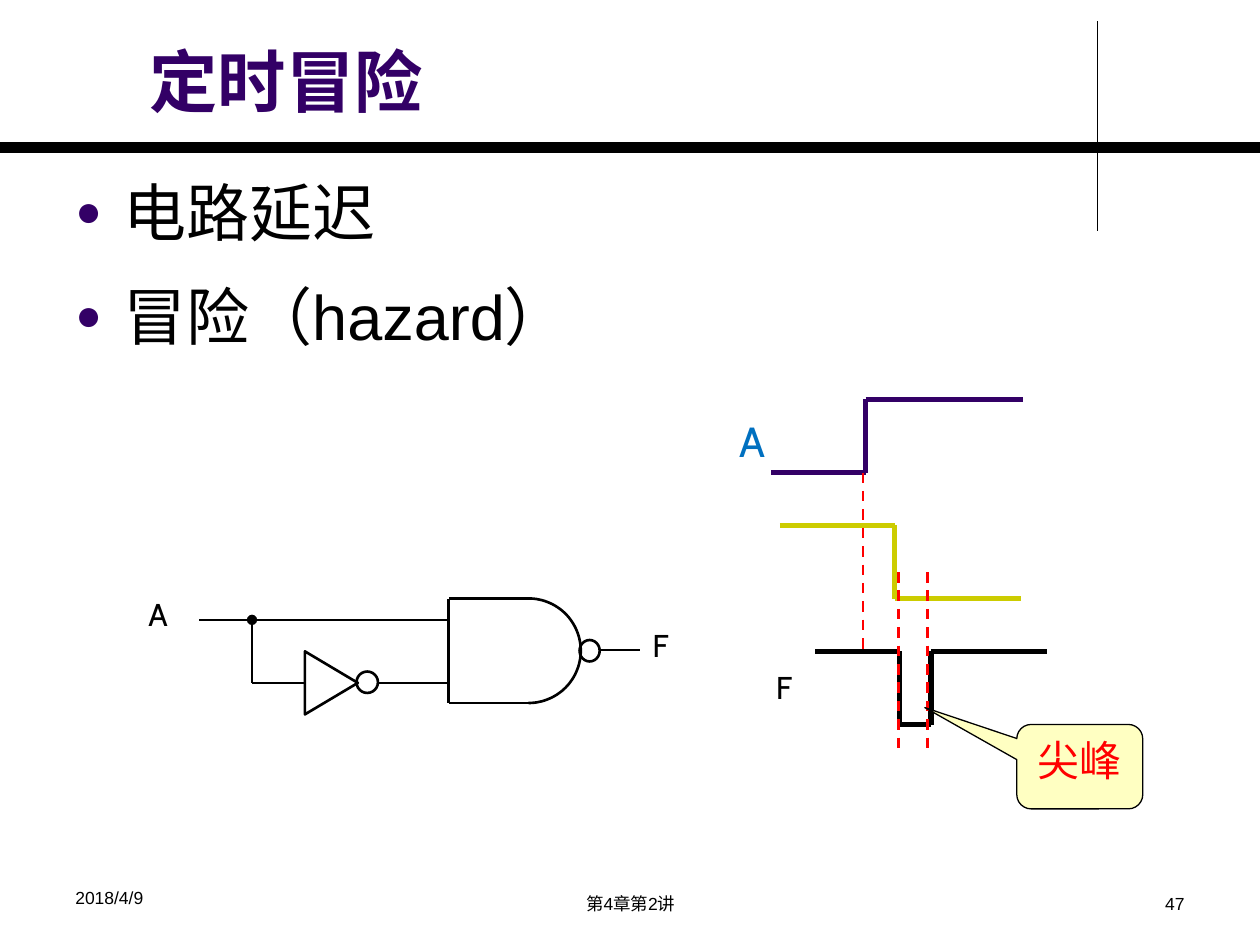
import math

import pptx
import pptx.dml.color
import pptx.enum.dml
import pptx.enum.shapes
import pptx.enum.text
import pptx.oxml
import pptx.oxml.ns
import pptx.util

Inches = pptx.util.Inches
Pt = pptx.util.Pt
RGBColor = pptx.dml.color.RGBColor
Shape = pptx.enum.shapes.MSO_SHAPE
Align = pptx.enum.text.PP_ALIGN
Anchor = pptx.enum.text.MSO_ANCHOR

BLACK = RGBColor(0x00, 0x00, 0x00)
PURPLE = RGBColor(0x33, 0x00, 0x66)
OLIVE = RGBColor(0xCC, 0xCC, 0x00)
BLUE = RGBColor(0x00, 0x70, 0xC0)
RED = RGBColor(0xFF, 0x00, 0x00)
CREAM = RGBColor(0xFF, 0xFF, 0xC2)


def add_xml(parent, tag, **attrs):
    """Append an empty drawing element and return it."""
    node = pptx.oxml.parse_xml(f"<a:{tag} {pptx.oxml.ns.nsdecls('a')}/>")
    for key, value in attrs.items():
        node.set(key, value)
    parent.append(node)
    return node


def set_font(para, size, color, name="Arial", bold=False):
    """Set the font of a whole paragraph."""
    font = para.font
    font.size, font.name, font.bold = Pt(size), name, bold
    font.color.rgb = color


def add_text(slide, box, text, size, color, name="Arial", align=Align.LEFT,
             bold=False, wrap=True, anchor=Anchor.TOP):
    """Place one line of text in a box."""
    frame = slide.shapes.add_textbox(*map(Inches, box)).text_frame
    frame.word_wrap = wrap
    frame.vertical_anchor = anchor
    para = frame.paragraphs[0]
    para.text, para.alignment = text, align
    set_font(para, size, color, name, bold)


def add_trace(slide, box, points, color=BLACK, width=1.5, dash=False, dot=False):
    """Join points, given relative to the box, with straight lines."""
    left, top = box[:2]
    for (x1, y1), (x2, y2) in zip(points, points[1:]):
        line = slide.shapes.add_connector(
            pptx.enum.shapes.MSO_CONNECTOR.STRAIGHT, Inches(left + x1),
            Inches(top + y1), Inches(left + x2), Inches(top + y2))
        line.line.color.rgb = color
        line.line.width = Pt(width)
        if dash:
            line.line.dash_style = pptx.enum.dml.MSO_LINE.DASH
        if dot:
            add_xml(line.line._get_or_add_ln(), "tailEnd", type="oval")
        add_xml(line._element.spPr, "effectLst")


def style_outline(shape, width=1.5):
    """Give a shape a plain black outline without fill or shadow."""
    shape.shadow.inherit = False
    shape.fill.background()
    shape.line.color.rgb = BLACK
    shape.line.width = Pt(width)


def add_head(slide, box):
    """Draw the title with its crossing rules."""
    left, top, width, height = box
    add_trace(slide, box, [(8.71, 0.17), (8.71, 1.83)], width=0.75)
    add_trace(slide, box, [(0, 1.17), (width, 1.17)], width=6)
    add_text(slide, (left + 1.09, top + 0.2, 7.55, height - 0.36), "定时冒险",
             39, PURPLE, bold=True, anchor=Anchor.BOTTOM)


def add_body(slide, box, items):
    """Write the bulleted points."""
    frame = slide.shapes.add_textbox(*map(Inches, box)).text_frame
    frame.word_wrap = True
    for index, text in enumerate(items):
        para = frame.add_paragraph() if index else frame.paragraphs[0]
        para.text = text
        if index:
            para.space_before = Pt(7.2)
            para.line_spacing = 1.2
        props = para._p.get_or_add_pPr()
        props.set("marL", str(Inches(0.38)))
        props.set("indent", str(Inches(-0.38)))
        add_xml(add_xml(props, "buClr"), "srgbClr", val=str(PURPLE))
        add_xml(props, "buSzPct", val="70000")
        add_xml(props, "buFont", typeface="Arial")
        add_xml(props, "buChar", char="●")
        set_font(para, 36, BLACK)


def add_wave(slide, box, steps, color, label="", size=18, ink=BLACK):
    """Draw a signal with its name at the left."""
    left, top = box
    if label:
        add_text(slide, (left, top + 0.08, 0.4, 0.5), label, size, ink,
                 "Cabin", wrap=False)
    add_trace(slide, box, steps, color, 3)


def add_gate(slide, box):
    """Draw the rounded gate front as an arc of the box's height."""
    left, top, width, height = box
    radius = height / 2
    arc = [(Inches(left + width - radius + radius * math.cos(angle)),
            Inches(top + radius + radius * math.sin(angle)))
           for angle in (math.radians(deg) for deg in range(-90, 91, 3))]
    build = slide.shapes.build_freeform(*arc[0])
    build.add_line_segments(arc[1:], close=False)
    style_outline(build.convert_to_shape())
    flat = width - radius
    add_trace(slide, box, [(flat, 0), (0, 0), (0, height), (flat, height)])


def add_circuit(slide, box):
    """Draw the inverter feeding a gate, with its input and output."""
    left, top = box
    for x, y, text in ((0, 0, "A"), (4, 0.25, "F")):
        add_text(slide, (left + x, top + y, 0.4, 0.5), text, 18, BLACK,
                 "Cabin", wrap=False)
    add_gate(slide, (left + 2.48, top + 0.08, 1.05, 0.83))
    for wire in ([(3.68, 0.49), (4, 0.49)], [(2.48, 0.75), (1.92, 0.75)],
                 [(2.48, 0.25), (0.5, 0.25)], [(1.34, 0.75), (0.92, 0.75)]):
        add_trace(slide, box, wire)
    add_trace(slide, box, [(0.92, 0.75), (0.92, 0.25)], dot=True)
    for kind, x, y, width, height, turn in (
            (Shape.OVAL, 3.52, 0.41, 0.16, 0.17, 0),
            (Shape.ISOSCELES_TRIANGLE, 1.3, 0.54, 0.5, 0.42, 90),
            (Shape.OVAL, 1.75, 0.66, 0.17, 0.17, 0)):
        part = slide.shapes.add_shape(kind, Inches(left + x), Inches(top + y),
                                      Inches(width), Inches(height))
        part.rotation = turn
        style_outline(part)


def add_timing(slide, box):
    """Draw the three signals, their time marks and the spike note."""
    left, top = box
    add_wave(slide, box, [(0.35, 0.58), (1.1, 0.58), (1.1, 0), (2.35, 0)],
             PURPLE, "A", 24, BLUE)
    add_wave(slide, (left + 0.42, top + 1),
             [(0, 0), (0.91, 0), (0.91, 0.58), (1.91, 0.58)], OLIVE)
    add_wave(slide, (left + 0.29, top + 2),
             [(0.41, 0), (1.08, 0), (1.08, 0.58), (1.33, 0.58), (1.33, 0),
              (2.25, 0)], BLACK, "F")
    for x, start, end in ((1.08, 0.58, 2), (1.36, 1.37, 2.78), (1.59, 1.37, 2.78)):
        add_trace(slide, box, [(x, start), (x, end)], RED, dash=True)
    note = slide.shapes.add_shape(
        Shape.ROUNDED_RECTANGULAR_CALLOUT, Inches(left + 2.3),
        Inches(top + 2.58), Inches(1), Inches(0.67))
    for index, value in enumerate((-1.23, -0.7, 0.17)):
        note.adjustments[index] = value
    style_outline(note, 0.75)
    note.fill.solid()
    note.fill.fore_color.rgb = CREAM
    note.text_frame.vertical_anchor = Anchor.TOP
    para = note.text_frame.paragraphs[0]
    para.text, para.alignment = "尖峰", Align.CENTER
    set_font(para, 24, RED)


def add_foot(slide, box):
    """Write the date, the lecture and the page number."""
    left, top, width, height = box
    for x, y, wide, text, align in (
            (0, 0, 2.33, "2018/4/9", Align.LEFT),
            (2.92, 0.05, 3.17, "第4章第2讲", Align.CENTER),
            (width - 2.33, 0.05, 2.33, "47", Align.RIGHT)):
        add_text(slide, (left + x, top + y, wide, height - y), text, 10, BLACK,
                 align=align)


def main():
    """Build the slide and save it."""
    deck = pptx.Presentation()
    deck.slide_width, deck.slide_height = Inches(10), Inches(7.5)
    slide = deck.slides.add_slide(deck.slide_layouts[6])
    add_head(slide, (0, 0, 10, 1.17))
    add_body(slide, (0.5, 1.33, 9, 5.25), ["电路延迟", "冒险（hazard）"])
    add_circuit(slide, (1.08, 4.67))
    add_timing(slide, (5.77, 3.17))
    add_foot(slide, (0.5, 6.99, 9, 0.34))
    deck.save("out.pptx")


if __name__ == "__main__":
    main()
